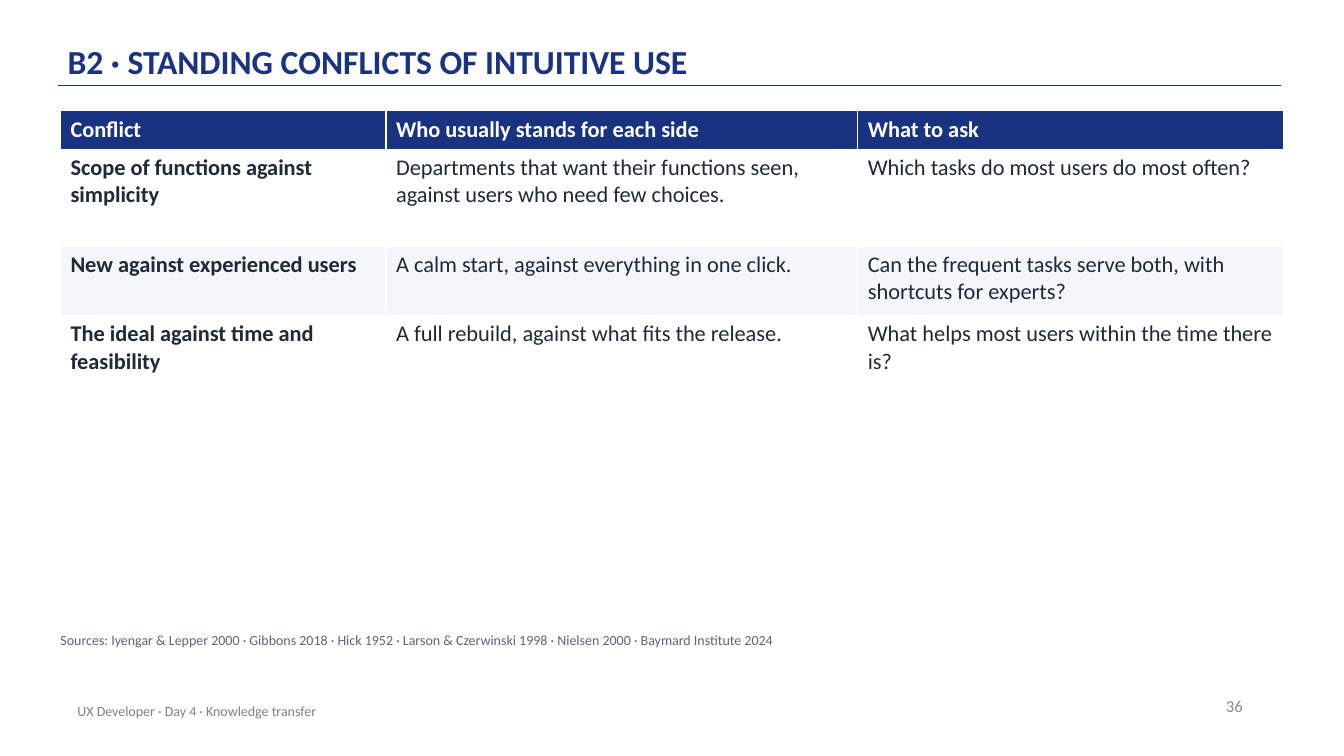
from lxml import etree
from pptx import Presentation
from pptx.dml.color import RGBColor
from pptx.enum.shapes import MSO_CONNECTOR
from pptx.enum.text import MSO_ANCHOR, PP_ALIGN
from pptx.oxml.ns import qn
from pptx.util import Pt

STRAIGHT = MSO_CONNECTOR.STRAIGHT
TOP, MIDDLE, BOTTOM = MSO_ANCHOR.TOP, MSO_ANCHOR.MIDDLE, MSO_ANCHOR.BOTTOM
LEFT, RIGHT = PP_ALIGN.LEFT, PP_ALIGN.RIGHT

NAVY = RGBColor(0x1A, 0x33, 0x81)
WHITE = RGBColor(0xFF, 0xFF, 0xFF)
PALE = RGBColor(0xF4, 0xF6, 0xFB)
INK = RGBColor(0x1F, 0x29, 0x37)
SLATE = RGBColor(0x5B, 0x65, 0x77)
NUMBER_GREY = RGBColor(0x8C, 0x8C, 0x8C)
FOOTER_GREY = RGBColor(0x80, 0x80, 0x80)

FONT = "Calibri"
COLUMN_WIDTHS = (232.56, 336.96, 303.84)
ROW_HEIGHTS = (27.36, 69.12, 49.68, 49.68)
CONFLICTS = (
    ("Conflict", "Who usually stands for each side", "What to ask"),
    ("Scope of functions against simplicity",
     "Departments that want their functions seen, against users who need few choices.",
     "Which tasks do most users do most often?"),
    ("New against experienced users",
     "A calm start, against everything in one click.",
     "Can the frequent tasks serve both, with shortcuts for experts?"),
    ("The ideal against time and feasibility",
     "A full rebuild, against what fits the release.",
     "What helps most users within the time there is?"),
)


def set_attributes(target, values):
    for name, value in values.items():
        setattr(target, name, value)


def style_font(font, size, color, bold=False):
    set_attributes(font, {"name": FONT, "size": Pt(size), "bold": bold})
    font.color.rgb = color


def add_text(slide, box, text, size, color, bold=False, anchor=MIDDLE,
             margins=(7.2, 3.6), paragraph_format=None):
    """Box is left, top, width, height; margins are horizontal, vertical."""
    frame = slide.shapes.add_textbox(*map(Pt, box)).text_frame
    across, down = map(Pt, margins)
    set_attributes(frame, {
        "word_wrap": True, "vertical_anchor": anchor,
        "margin_left": across, "margin_right": across,
        "margin_top": down, "margin_bottom": down,
    })
    paragraph = frame.paragraphs[0]
    set_attributes(paragraph, {"alignment": LEFT, **(paragraph_format or {})})
    run = paragraph.add_run()
    run.text = text
    style_font(run.font, size, color, bold)


def add_title_rule(slide):
    rule = slide.shapes.add_connector(STRAIGHT, Pt(41.76), Pt(61.2), Pt(915.12), Pt(61.2))
    rule.line.color.rgb = NAVY
    rule.line.width = Pt(1)
    etree.SubElement(rule._element.spPr, qn("a:effectLst"))


def fill_cell(cell, text, fill, color, bold):
    cell.fill.solid()
    cell.fill.fore_color.rgb = fill
    run = cell.text_frame.paragraphs[0].add_run()
    run.text = text
    style_font(run.font, 16, color, bold)


def add_conflict_table(slide):
    table = slide.shapes.add_table(
        len(CONFLICTS), len(COLUMN_WIDTHS), Pt(43.2), Pt(79.2),
        Pt(sum(COLUMN_WIDTHS)), Pt(sum(ROW_HEIGHTS))).table
    for column, width in zip(table.columns, COLUMN_WIDTHS):
        column.width = Pt(width)
    for row, height in zip(table.rows, ROW_HEIGHTS):
        row.height = Pt(height)
    for r, conflict in enumerate(CONFLICTS):
        header = r == 0
        fill = NAVY if header else (PALE if r % 2 == 0 else WHITE)
        for c, text in enumerate(conflict):
            fill_cell(table.cell(r, c), text, fill,
                      WHITE if header else INK, header or c == 0)


def main():
    presentation = Presentation()
    presentation.slide_width, presentation.slide_height = Pt(960), Pt(540)
    slide = presentation.slides.add_slide(presentation.slide_layouts[6])
    add_title_rule(slide)
    add_text(slide, (48.24, 8.64, 792, 51.84),
             "B2 · STANDING CONFLICTS OF INTUITIVE USE", 24, NAVY, bold=True,
             anchor=BOTTOM, margins=(0, 2.16), paragraph_format={"line_spacing": 0.9})
    add_text(slide, (678.96, 489.6, 216, 28.8), "36", 12, NUMBER_GREY,
             paragraph_format={"alignment": RIGHT})
    add_text(slide, (48.24, 493.2, 482.4, 28.8),
             "UX Developer · Day 4 · Knowledge transfer", 10, FOOTER_GREY)
    add_conflict_table(slide)
    add_text(slide, (43.2, 451.44, 871.2, 21.6),
             "Sources: Iyengar & Lepper 2000 · Gibbons 2018 · Hick 1952 · "
             "Larson & Czerwinski 1998 · Nielsen 2000 · Baymard Institute 2024",
             10, SLATE, anchor=TOP, margins=(0, 0),
             paragraph_format={"space_after": Pt(6)})
    presentation.save("out.pptx")


if __name__ == "__main__":
    main()
